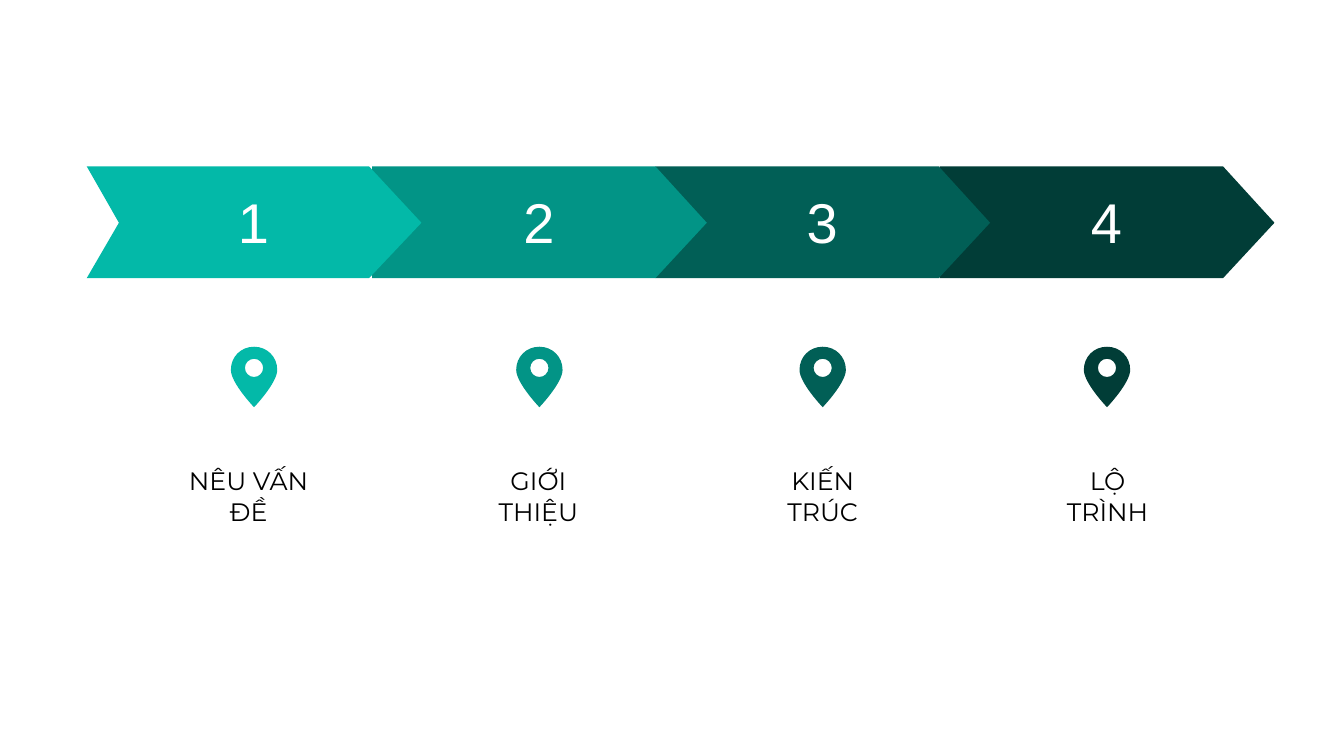
import lxml.etree
import pptx
import pptx.dml.color
import pptx.enum.text
import pptx.oxml.ns
import pptx.util

Inches = pptx.util.Inches
RGBColor = pptx.dml.color.RGBColor
ALIGN = pptx.enum.text.PP_ALIGN
AUTO_SIZE = pptx.enum.text.MSO_AUTO_SIZE
qn = pptx.oxml.ns.qn

WHITE = RGBColor(0xFF, 0xFF, 0xFF)
BLACK = RGBColor(0x00, 0x00, 0x00)
MINT = RGBColor(0x03, 0xB9, 0xA8)
TEAL = RGBColor(0x02, 0x94, 0x86)
PINE = RGBColor(0x01, 0x5F, 0x56)
DEEP = RGBColor(0x01, 0x3D, 0x37)

# Label, colour, arrow left, label left, label width
STEPS = [
    ("NÊU VẤN ĐỀ", MINT, 0.86, 1.56, 1.81),
    ("GIỚI THIỆU", TEAL, 3.69, 4.54, 1.6),
    ("KIẾN TRÚC", PINE, 6.5, 7.37, 1.58),
    ("LỘ TRÌNH", DEEP, 9.32, 10.28, 1.41),
]


def add_outline(s, contours, color):
    contours = [[(Inches(x), Inches(y)) for x, y in c] for c in contours]
    builder = s.shapes.build_freeform(*contours[0][0])
    builder.add_line_segments(contours[0][1:], close=True)
    for contour in contours[1:]:
        builder.move_to(*contour[0])
        builder.add_line_segments(contour[1:], close=True)
    sp = builder.convert_to_shape()
    sp.shadow.inherit = False
    sp.fill.solid()
    sp.fill.fore_color.rgb = color
    sp.line.fill.background()
    return sp


def bend_lines(sp, segments):
    """Turn each straight segment into a cubic curve of three points."""
    lines = list(sp._element.iter(qn("a:lnTo")))
    for line, segment in zip(lines, segments):
        bend = lxml.etree.Element(qn("a:cubicBezTo"))
        for x, y in segment:
            lxml.etree.SubElement(bend, qn("a:pt"), x=str(Inches(x) - sp.left),
                                  y=str(Inches(y) - sp.top))
        line.getparent().replace(line, bend)


def add_arrow(s, left, color, notched):
    top, middle, bottom = 1.65, 2.21, 2.76
    shoulder = left + (2.8 if notched else 2.81)
    points = [(shoulder, bottom), (left, bottom), (left, top),
              (shoulder, top), (left + 3.32, middle)]
    if notched:
        points.insert(2, (left + 0.32, middle))
    add_outline(s, [points], color)


def add_pin(s, x, color):
    top, side, tip = 3.44, 3.67, 4.04
    left, right = x - 0.23, x + 0.23
    drop = [
        ((x - 0.13, top), (left, 3.54), (left, side)),
        ((left, 3.8), (x, tip), (x, tip)),
        ((x, tip), (right, 3.8), (right, side)),
        ((right, 3.54), (x + 0.13, top), (x, top))]
    y, r, k = 3.65, 0.09, 0.05
    hole = [
        ((x - k, y + r), (x - r, y + k), (x - r, y)),
        ((x - r, y - k), (x - k, y - r), (x, y - r)),
        ((x + k, y - r), (x + r, y - k), (x + r, y)),
        ((x + r, y + k), (x + k, y + r), (x, y + r))]
    anchors = [[part[-1][-1]] + [segment[-1] for segment in part]
               for part in (drop, hole)]
    bend_lines(add_outline(s, anchors, color), drop + hole)


def add_text(s, text, box, font, color, frame, align):
    tf = s.shapes.add_textbox(*(Inches(v) for v in box)).text_frame
    for name, value in frame.items():
        setattr(tf, name, value)
    tf.auto_size = AUTO_SIZE.SHAPE_TO_FIT_TEXT
    p = tf.paragraphs[0]
    p.alignment = align
    r = p.add_run()
    r.text = text
    for name, value in font.items():
        setattr(r.font, name, value)
    r.font.color.rgb = color


def main():
    prs = pptx.Presentation()
    prs.slide_width, prs.slide_height = Inches(13.33), Inches(7.5)
    s = prs.slides.add_slide(prs.slide_layouts[6])

    # Arrow band, each step lying over the next one
    for i, (_, color, left, _, _) in reversed(list(enumerate(STEPS))):
        add_arrow(s, left, color, notched=i == 0)

    # Numbers, pins and labels
    number_font = {"size": pptx.util.Pt(40), "name": "Arial"}
    number_frame = {"word_wrap": False, "margin_left": 0, "margin_right": 0,
                    "margin_top": 0, "margin_bottom": 0}
    label_font = {"size": pptx.util.Pt(18), "name": "Montserrat"}
    label_frame = {"word_wrap": True, "margin_left": Inches(0.15),
                   "margin_right": Inches(0.15)}
    for i, (label, color, left, label_left, label_width) in enumerate(STEPS, 1):
        add_text(s, str(i), (left + 1.5, 1.86, 0.31, 0.67),
                 number_font, WHITE, number_frame, ALIGN.LEFT)
        add_pin(s, left + 1.66, color)
        add_text(s, label, (label_left, 4.57, label_width, 0.4),
                 label_font, BLACK, label_frame, ALIGN.CENTER)

    prs.save("out.pptx")


if __name__ == "__main__":
    main()
